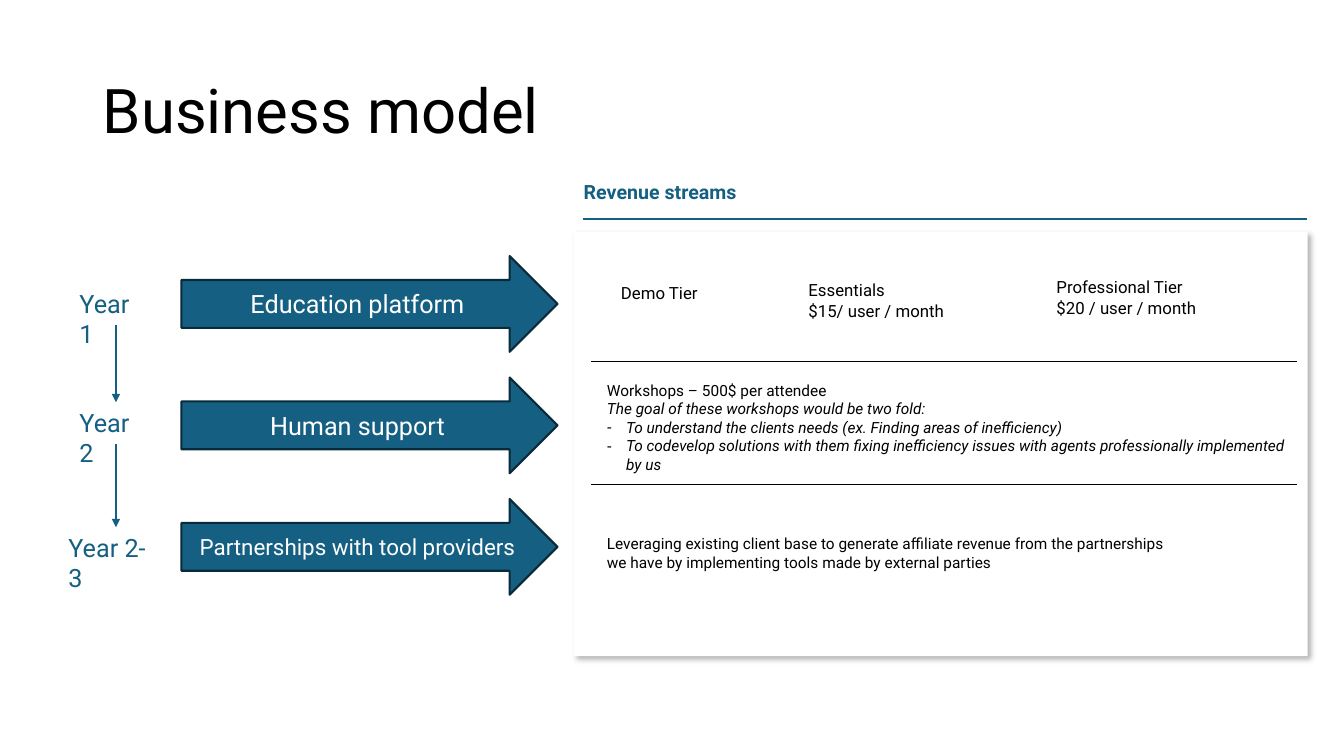
"""Build the business model slide with its yearly steps and revenue streams."""
import pptx
import pptx.dml.color
import pptx.enum.shapes
import pptx.enum.text
import pptx.oxml
import pptx.oxml.ns
import pptx.util

Inches, Pt = pptx.util.Inches, pptx.util.Pt
Color = pptx.dml.color.RGBColor.from_string
Shape = pptx.enum.shapes.MSO_SHAPE
Align = pptx.enum.text.PP_ALIGN
Anchor = pptx.enum.text.MSO_ANCHOR
Fit = pptx.enum.text.MSO_AUTO_SIZE

theme = {
    "font": "Roboto",
    "teal": "156082", "edge": "092A39", "shade": "A6A6A6",
    "ink": "000000", "paper": "FFFFFF",
    "title": 44, "step": 18, "long": 16, "head": 14, "tier": 12, "note": 11,
}


def write(shape, lines, size, color, frame={}, para={}, font={}):
    text = shape.text_frame
    text.text = "\n".join(lines)
    for name, value in {"word_wrap": True, **frame}.items():
        setattr(text, name, value)
    for part in text.paragraphs:
        look = {"name": theme["font"], "size": Pt(theme[size]), **font}
        for name, value in para.items():
            setattr(part, name, value)
        for run in part.runs:
            run.font.color.rgb = Color(theme[color])
            for name, value in look.items():
                setattr(run.font, name, value)
    return text


def add(parent, xml):
    head, rest = xml.split(" ", 1)
    space = pptx.oxml.ns.nsdecls("a")
    parent.append(pptx.oxml.parse_xml(f"{head} {space} {rest}"))


deck = pptx.Presentation()
deck.slide_width, deck.slide_height = Inches(13.33), Inches(7.5)
slide = deck.slides.add_slide(deck.slide_layouts[1])
shapes = slide.shapes
title, body = slide.placeholders

card = shapes.add_shape(Shape.RECTANGLE, Inches(5.69), Inches(2.3), Inches(7.28), Inches(4.21))
card.fill.solid()
card.fill.fore_color.rgb = Color(theme["paper"])
card.line.fill.background()
add(card.element.spPr,
    f'<a:effectLst ><a:outerShdw blurRad="{Pt(4)}" dist="{Pt(3)}" dir="2700000" algn="tl" rotWithShape="0">'
    f'<a:srgbClr val="{theme["shade"]}"><a:alpha val="83000"/></a:srgbClr></a:outerShdw></a:effectLst>')

grid = shapes.add_table(3, 3, Inches(5.87), Inches(2.37), Inches(6.99), Inches(3.65)).table
grid.first_row = grid.horz_banding = False
for index, row in enumerate(grid.rows):
    sides = {"L": "paper", "R": "paper",
             "T": "ink" if index > 0 else "paper",
             "B": "ink" if index < 2 else "paper"}
    for cell in row.cells:
        props = cell._tc.get_or_add_tcPr()
        for side, color in sides.items():
            add(props, f'<a:ln{side} w="{Pt(1)}"><a:solidFill><a:srgbClr val="{theme[color]}"/>'
                       f'</a:solidFill></a:ln{side}>')
        cell.fill.background()

title.left, title.top, title.width, title.height = map(Inches, (0.92, 0.4, 11.5, 1.45))
write(title, ["Business model"], "title", "ink",
      {"vertical_anchor": Anchor.MIDDLE}, {"alignment": Align.LEFT, "line_spacing": 0.9})

steps = [("Education platform", "step"), ("Human support", "step"),
         ("Partnerships with tool providers", "long")]
for index, (label, size) in enumerate(steps):
    arrow = shapes.add_shape(Shape.RIGHT_ARROW, Inches(1.8), Inches(2.54 + 1.205 * index),
                             Inches(3.73), Inches(0.95))
    arrow.shadow.inherit = False
    arrow.fill.solid()
    arrow.fill.fore_color.rgb = Color(theme["teal"])
    arrow.line.color.rgb = Color(theme["edge"])
    arrow.line.width = Pt(1.5)
    write(arrow, [label], size, "paper", {"vertical_anchor": Anchor.MIDDLE},
          {"alignment": Align.CENTER})

notes = [
    (0.69, 2.81, 0.86, 0.4, ["Year 1"], "step", "teal"),
    (0.69, 3.99, 0.86, 0.4, ["Year 2"], "step", "teal"),
    (0.58, 5.23, 1.08, 0.4, ["Year 2-3"], "step", "teal"),
    (6.06, 2.76, 1.45, 0.3, ["Demo Tier"], "tier", "ink"),
    (7.92, 2.73, 2.29, 0.5, ["Essentials", "$15/ user / month"], "tier", "ink"),
    (10.38, 2.7, 2.38, 0.5, ["Professional Tier", "$20 / user / month"], "tier", "ink"),
    (5.92, 5.25, 5.95, 0.47,
     ["Leveraging existing client base to generate affiliate revenue from the partnerships "
      "we have by implementing tools made by external parties"], "note", "ink"),
    (5.69, 1.74, 2.08, 0.34, ["Revenue streams"], "head", "teal"),
]
for left, top, width, height, lines, size, color in notes:
    box = shapes.add_textbox(Inches(left), Inches(top), Inches(width), Inches(height))
    write(box, lines, size, color, {"auto_size": Fit.SHAPE_TO_FIT_TEXT},
          font={"bold": size == "head"})

body.left, body.top, body.width, body.height = map(Inches, (5.92, 3.73, 6.95, 1.03))
goals = write(body, [
    "Workshops – 500$ per attendee",
    "The goal of these workshops would be two fold:",
    "To understand the clients needs (ex. Finding areas of inefficiency)",
    "To codevelop solutions with them fixing inefficiency issues with agents "
    "professionally implemented by us",
], "note", "ink", {"auto_size": Fit.SHAPE_TO_FIT_TEXT, "vertical_anchor": Anchor.TOP},
    {"space_before": Pt(0), "alignment": Align.LEFT}, {"italic": True})
goals.paragraphs[0].runs[0].font.italic = False
for index, part in enumerate(goals.paragraphs):
    props = part._p.get_or_add_pPr()
    dent = Inches(0.19) if index > 1 else 0
    props.set("marL", str(dent))
    props.set("indent", str(-dent))
    add(props, '<a:buChar char="-"/>' if dent else "<a:buNone />")
body.element.getparent().append(body.element)

lines = [(1.15, 3.22, 1.15, 3.99, True), (1.15, 4.4, 1.15, 5.23, True),
         (5.78, 2.17, 12.96, 2.17, False)]
for *ends, tip in lines:
    line = shapes.add_connector(pptx.enum.shapes.MSO_CONNECTOR.STRAIGHT, *map(Inches, ends))
    line.line.color.rgb = Color(theme["teal"])
    line.line.width = Pt(1.5)
    if tip:
        add(line.line._get_or_add_ln(), '<a:tailEnd type="triangle"/>')
    add(line.element.spPr, "<a:effectLst />")

deck.save("out.pptx")
